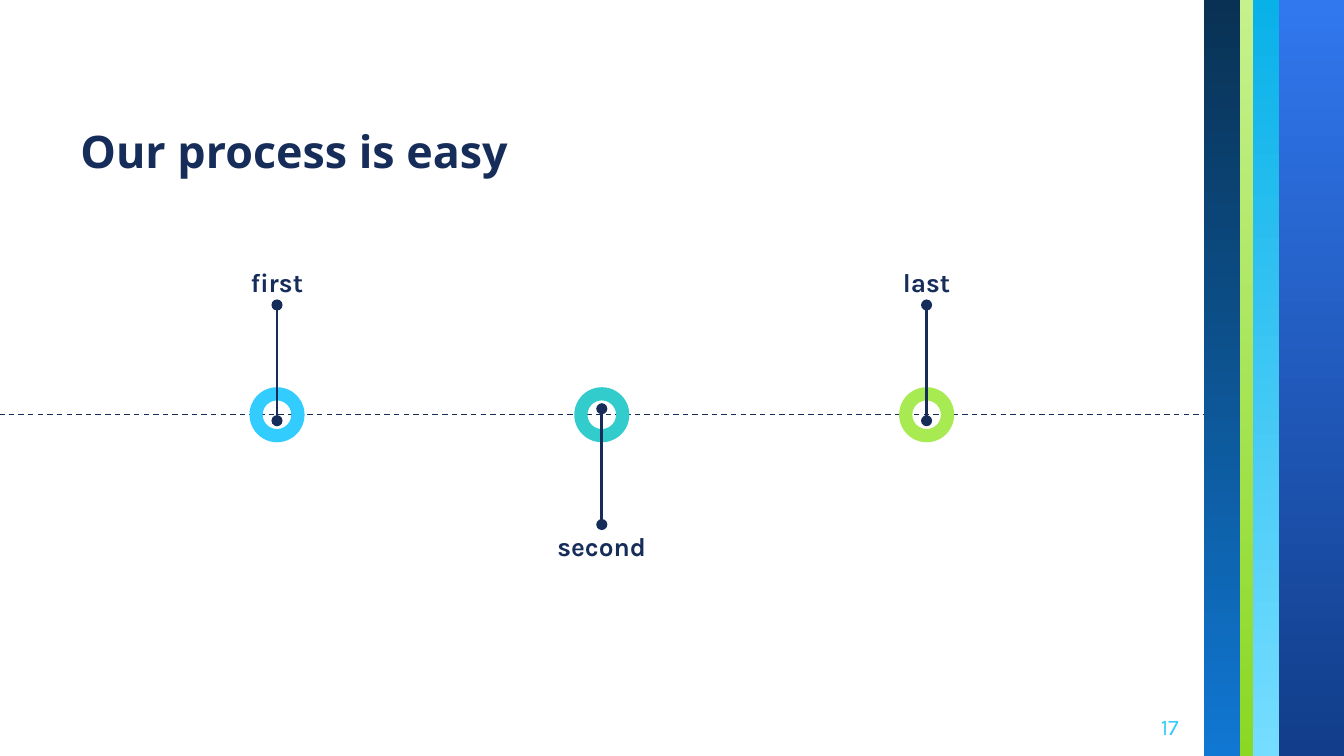
from lxml.etree import SubElement
from pptx import Presentation
from pptx.dml.color import RGBColor
from pptx.enum.dml import MSO_LINE
from pptx.enum.shapes import MSO_CONNECTOR, MSO_SHAPE
from pptx.enum.text import MSO_ANCHOR, PP_ALIGN
from pptx.oxml.ns import qn
from pptx.util import Pt

COLORS = {
    "navy": "162D5A",
    "sky": "33CCFF",
    "teal": "33CCCC",
    "lime": "A7EA52",
}

# Side stripes: left, width, top colour, bottom colour
STRIPES = [
    (684.7, 35.3, "3177EE", "113D8A"),
    (671, 14.2, "09B1E9", "75DDFF"),
    (664.4, 7, "C6F18D", "8AD824"),
    (645, 19.4, "093153", "1077D2"),
]

# Process steps: label, ring colour, direction of the stem (-1 up, 1 down)
STEPS = [("first", "sky", -1), ("second", "teal", 1), ("last", "lime", -1)]

SLIDE_WIDTH, SLIDE_HEIGHT = 720, 405
AXIS_Y = 222.2
FIRST_X, STEP_GAP = 148.4, 174
RING = 29.5
STEM_LENGTH, STEM_OVERLAP = 62, 3.2
LABEL_WIDTH, LABEL_HEIGHT = 88, 29.5


def rgb(name):
    return RGBColor.from_string(COLORS[name])


def add_text(slide, text, left, top, width, height, *, size, font="Karla",
             color="navy", bold=False, align=PP_ALIGN.LEFT,
             anchor=MSO_ANCHOR.TOP):
    frame = slide.shapes.add_textbox(
        Pt(left), Pt(top), Pt(width), Pt(height)).text_frame
    frame.word_wrap = True
    frame.vertical_anchor = anchor
    frame.margin_left = frame.margin_right = Pt(7.2)
    frame.margin_top = frame.margin_bottom = Pt(7.2)
    paragraph = frame.paragraphs[0]
    paragraph.alignment = align
    run = paragraph.add_run()
    run.text = text
    run.font.name = font
    run.font.size = Pt(size)
    run.font.bold = bold
    run.font.color.rgb = rgb(color)


def add_stripe(slide, left, width, top_color, bottom_color):
    stripe = slide.shapes.add_shape(
        MSO_SHAPE.RECTANGLE, Pt(left), Pt(0), Pt(width), Pt(SLIDE_HEIGHT))
    stripe.shadow.inherit = False
    stripe.line.fill.background()
    stripe.fill.gradient()
    stripe.fill.gradient_angle = 270
    for stop, color in zip(stripe.fill.gradient_stops, (top_color, bottom_color)):
        stop.color.rgb = RGBColor.from_string(color)


def add_line(slide, x1, y1, x2, y2, width, dash=None, dots=False):
    line = slide.shapes.add_connector(
        MSO_CONNECTOR.STRAIGHT, Pt(x1), Pt(y1), Pt(x2), Pt(y2))
    line.line.color.rgb = rgb("navy")
    line.line.width = Pt(width)
    if dash:
        line.line.dash_style = dash
    if dots:
        outline = line.line._get_or_add_ln()
        for end in ("a:headEnd", "a:tailEnd"):
            SubElement(outline, qn(end), type="oval")
    SubElement(line._element.spPr, qn("a:effectLst"))


def add_ring(slide, center_x, color):
    ring = slide.shapes.add_shape(
        MSO_SHAPE.DONUT, Pt(center_x - RING / 2), Pt(AXIS_Y - RING / 2),
        Pt(RING), Pt(RING))
    ring.adjustments[0] = 0.24
    ring.shadow.inherit = False
    ring.line.fill.background()
    ring.fill.solid()
    ring.fill.fore_color.rgb = rgb(color)


def add_step(slide, center_x, label, color, direction):
    add_ring(slide, center_x, color)
    start = AXIS_Y - direction * STEM_OVERLAP
    add_line(slide, center_x, start, center_x, start + direction * STEM_LENGTH,
             1.5, dots=True)
    label_top = 135.4 if direction < 0 else 277.2
    add_text(slide, label, center_x - LABEL_WIDTH / 2, label_top,
             LABEL_WIDTH, LABEL_HEIGHT, size=14, bold=True,
             align=PP_ALIGN.CENTER)


def main():
    deck = Presentation()
    deck.slide_width, deck.slide_height = Pt(SLIDE_WIDTH), Pt(SLIDE_HEIGHT)
    slide = deck.slides.add_slide(deck.slide_layouts[6])

    # Side stripes
    for stripe in STRIPES:
        add_stripe(slide, *stripe)

    # Title and page number
    add_text(slide, "Our process is easy", 36, 44.6, 417.6, 57.6, size=24,
             font="Noto Sans", bold=True, anchor=MSO_ANCHOR.BOTTOM)
    add_text(slide, "17", 595.4, 374, 43.2, 31, size=12, color="sky",
             align=PP_ALIGN.RIGHT, anchor=MSO_ANCHOR.MIDDLE)

    # Timeline
    add_line(slide, -0.5, AXIS_Y, 645, AXIS_Y, 0.75, dash=MSO_LINE.DASH)
    for index, step in enumerate(STEPS):
        add_step(slide, FIRST_X + index * STEP_GAP, *step)

    deck.save("out.pptx")


if __name__ == "__main__":
    main()
